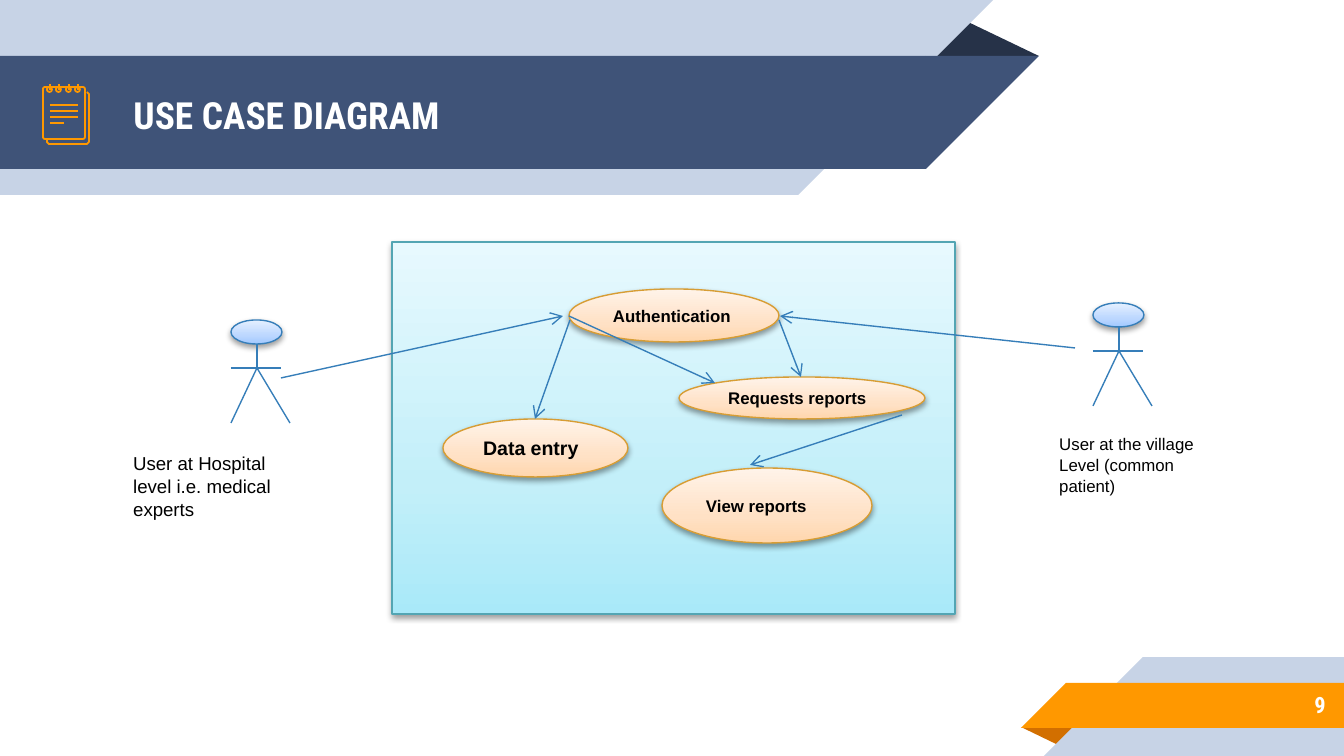
import copy
import dataclasses

import lxml.etree
import pptx
import pptx.dml.color
import pptx.enum.shapes
import pptx.enum.text
import pptx.oxml.ns
import pptx.util

SHAPE = pptx.enum.shapes.MSO_SHAPE
ALIGN = pptx.enum.text.PP_ALIGN
ANCHOR = pptx.enum.text.MSO_ANCHOR
qn = pptx.oxml.ns.qn


@dataclasses.dataclass(frozen=True)
class Theme:
    """Colours, fonts and type sizes of the slide."""
    pale: str = "C7D3E6"
    navy: str = "3F5378"
    navy_fold: str = "263248"
    orange: str = "FF9800"
    orange_fold: str = "D26F00"
    white: str = "FFFFFF"
    ink: str = "000000"
    blue: str = "367EB9"
    teal: str = "53A5B3"
    gold: str = "D79D34"
    system_fill: tuple = ("A9E9F9", "C3EFF9", "E7F9FE")
    head_fill: tuple = ("A0C8FF", "BCD7FF", "E5F0FF")
    case_fill: tuple = ("FFD6AD", "FFE1C5", "FFF3E9")
    stops: tuple = (0, 0.35, 1)
    heading_font: str = "Roboto Condensed"
    body_font: str = "Arial"
    title_size: float = 20
    number_size: float = 12
    large: float = 10.5
    medium: float = 10
    small: float = 9
    outline: float = 0.75
    icon_outline: float = 0.96


class Painter:
    """Draws styled elements on one slide, measured in pixels."""

    scale = 914400 / 134.4

    def __init__(self, slide, theme):
        """Keep the slide and its theme."""
        self.slide = slide
        self.shapes = slide.shapes
        self.theme = theme

    def emu(self, *pixels):
        """Turn pixels into EMU."""
        return [pptx.util.Emu(round(p * self.scale)) for p in pixels]

    def rgb(self, colour):
        """Turn a hex string into a colour."""
        return pptx.dml.color.RGBColor.from_string(colour)

    def stroke(self, line, colour, width):
        """Style an outline."""
        line.color.rgb = self.rgb(colour)
        line.width = pptx.util.Pt(width)

    def shape(self, kind, box, fill=None, line=None, width=None, turn=0):
        """Add a flat preset shape."""
        item = self.shapes.add_shape(kind, *self.emu(*box))
        item.shadow.inherit = False
        item.rotation = turn
        if fill:
            item.fill.solid()
            item.fill.fore_color.rgb = self.rgb(fill)
        else:
            item.fill.background()
        if line:
            self.stroke(item.line, line, width or self.theme.outline)
        else:
            item.line.fill.background()
        return item

    def raised(self, kind, box, colours, line):
        """Add a shape with a vertical gradient and a soft shadow."""
        item = self.shape(kind, box, line=line)
        item.fill.gradient()
        item.fill.gradient_angle = 90
        properties = item.element.spPr
        stop_list = properties.find(".//" + qn("a:gsLst"))
        stop_list.insert(1, copy.deepcopy(stop_list[0]))
        for stop, colour, position in zip(item.fill.gradient_stops, colours, self.theme.stops):
            stop.color.rgb = self.rgb(colour)
            stop.position = position
        shadow = lxml.etree.SubElement(
            properties.find(qn("a:effectLst")), qn("a:outerShdw"),
            blurRad="40000", dist="20000", dir="5400000", rotWithShape="0")
        tint = lxml.etree.SubElement(shadow, qn("a:srgbClr"), val=self.theme.ink)
        lxml.etree.SubElement(tint, qn("a:alpha"), val="38000")
        return item

    def line(self, start, end, colour=None, width=None, arrow=False):
        """Add a straight line, with an arrowhead at its end on request."""
        item = self.shapes.add_connector(
            pptx.enum.shapes.MSO_CONNECTOR.STRAIGHT, *self.emu(*start, *end))
        self.stroke(item.line, colour or self.theme.blue, width or self.theme.outline)
        properties = item.element.spPr
        if arrow:
            lxml.etree.SubElement(properties.find(qn("a:ln")), qn("a:tailEnd"), type="arrow")
        lxml.etree.SubElement(properties, qn("a:effectLst"))

    def outline(self, points, colour, width):
        """Add an open outline through the points."""
        builder = self.shapes.build_freeform(*points[0], scale=self.scale)
        builder.add_line_segments(points[1:], close=False)
        item = builder.convert_to_shape()
        item.shadow.inherit = False
        item.fill.background()
        self.stroke(item.line, colour, width)

    def fill_text(self, frame, words, size, font=None, colour=None, bold=False,
                  align=ALIGN.LEFT, anchor=ANCHOR.MIDDLE, inset=None, spacing=None):
        """Put one styled run into a text frame."""
        frame.word_wrap = True
        frame.auto_size = pptx.enum.text.MSO_AUTO_SIZE.NONE
        frame.vertical_anchor = anchor
        if inset is not None:
            margin = pptx.util.Inches(inset)
            frame.margin_left = frame.margin_right = margin
            frame.margin_top = frame.margin_bottom = margin
        paragraph = frame.paragraphs[0]
        paragraph.alignment = align
        if spacing:
            paragraph.line_spacing = spacing
        run = paragraph.add_run()
        run.text = words
        run.font.size = pptx.util.Pt(size)
        run.font.name = font or self.theme.body_font
        run.font.bold = bold
        run.font.color.rgb = self.rgb(colour or self.theme.ink)

    def text(self, box, words, size, **style):
        """Add a text box."""
        self.fill_text(self.shapes.add_textbox(*self.emu(*box)).text_frame, words, size, **style)

    def title(self, box, words, size, **style):
        """Place the title placeholder in front of what is drawn so far."""
        heading = self.shapes.title
        heading.left, heading.top, heading.width, heading.height = self.emu(*box)
        heading.element.getparent().append(heading.element)
        self.fill_text(heading.text_frame, words, size, **style)

    def use_case(self, box, words, size):
        """Add a use case ellipse."""
        case = self.raised(SHAPE.OVAL, box, self.theme.case_fill, self.theme.gold)
        self.fill_text(case.text_frame, words, size, bold=True)

    def actor(self, x, y):
        """Add a stick figure with its head at the given corner."""
        self.raised(SHAPE.OVAL, (x, y, 51, 24), self.theme.head_fill, self.theme.blue)
        shoulder = (x + 26, y + 48)
        self.line((x + 26, y + 24), shoulder)
        self.line((x, y + 48), (x + 50, y + 48))
        for foot in (0, 59):
            self.line(shoulder, (x + foot, y + 103))

    def notebook(self):
        """Add the notebook icon."""
        pen = (self.theme.orange, self.theme.icon_outline)
        self.outline([(47, 140), (47, 142), (49, 144), (87, 144), (89, 142), (89, 94), (87, 92)], *pen)
        page = self.shape(SHAPE.ROUNDED_RECTANGLE, (43, 87, 42, 52), None, *pen)
        page.adjustments[0] = 0.05
        for ring in (47, 56, 66, 75):
            self.shape(SHAPE.OVAL, (ring, 87, 5, 5), None, *pen)
            self.line((ring + 3, 84), (ring + 3, 90), *pen)
        for row, end in enumerate((78, 78, 78, 64)):
            self.line((50, 105 + 6 * row), (end, 105 + 6 * row), *pen)


theme = Theme()
deck = pptx.Presentation()
painter = Painter(deck.slides.add_slide(deck.slide_layouts[5]), theme)
deck.slide_width, deck.slide_height = painter.emu(1344, 756)

for kind, box, fill, turn in (
    (SHAPE.ISOSCELES_TRIANGLE, (925, 19, 114, 37), theme.navy_fold, 0),
    (SHAPE.RECTANGLE, (0, 0, 798, 195), theme.pale, 0),
    (SHAPE.RIGHT_TRIANGLE, (798, 0, 195, 195), theme.pale, 90),
    (SHAPE.RECTANGLE, (0, 56, 926, 113), theme.navy, 0),
    (SHAPE.RIGHT_TRIANGLE, (926, 56, 113, 113), theme.navy, 90),
    (SHAPE.ISOSCELES_TRIANGLE, (1021, 727, 58, 19), theme.orange_fold, 180),
    (SHAPE.RECTANGLE, (1143, 657, 201, 99), theme.pale, 0),
    (SHAPE.RIGHT_TRIANGLE, (1044, 657, 99, 99), theme.pale, 270),
    (SHAPE.RECTANGLE, (1066, 683, 278, 45), theme.orange, 0),
    (SHAPE.RIGHT_TRIANGLE, (1021, 683, 45, 45), theme.orange, 270),
):
    band = painter.shape(kind, box, fill, turn=turn)
    if kind == SHAPE.ISOSCELES_TRIANGLE:
        band.adjustments[0] = 0.324

heading_style = dict(font=theme.heading_font, colour=theme.white, bold=True, inset=0.1)
painter.title((120, 58, 773, 113), "USE CASE DIAGRAM", theme.title_size, **heading_style)
painter.text((1120, 681, 219, 47), "9", theme.number_size, align=ALIGN.RIGHT, **heading_style)
painter.notebook()

painter.raised(SHAPE.RECTANGLE, (392, 242, 563, 372), theme.system_fill, theme.teal)
for case_box, case_name, case_size in (
    ((569, 289, 210, 53), "Authentication", theme.small),
    ((443, 419, 185, 58), "Data entry", theme.large),
    ((679, 377, 246, 42), "Requests reports", theme.small),
    ((662, 468, 210, 75), "View reports", theme.small),
):
    painter.use_case(case_box, case_name, case_size)

for head, label_box, role, role_size in (
    ((231, 320), (120, 444, 191, 82), "User at Hospital level i.e. medical experts", theme.medium),
    ((1093, 303), (1046, 426, 179, 75), "User at the village Level (common patient)", theme.small),
):
    painter.actor(*head)
    painter.text(label_box, role, role_size, anchor=ANCHOR.TOP, spacing=1.04)

for start, end in (
    ((281, 378), (563, 316)),
    ((1075, 348), (780, 316)),
    ((570, 320), (535, 419)),
    ((569, 316), (715, 383)),
    ((779, 320), (801, 377)),
    ((902, 415), (750, 465)),
):
    painter.line(start, end, arrow=True)

deck.save("out.pptx")
